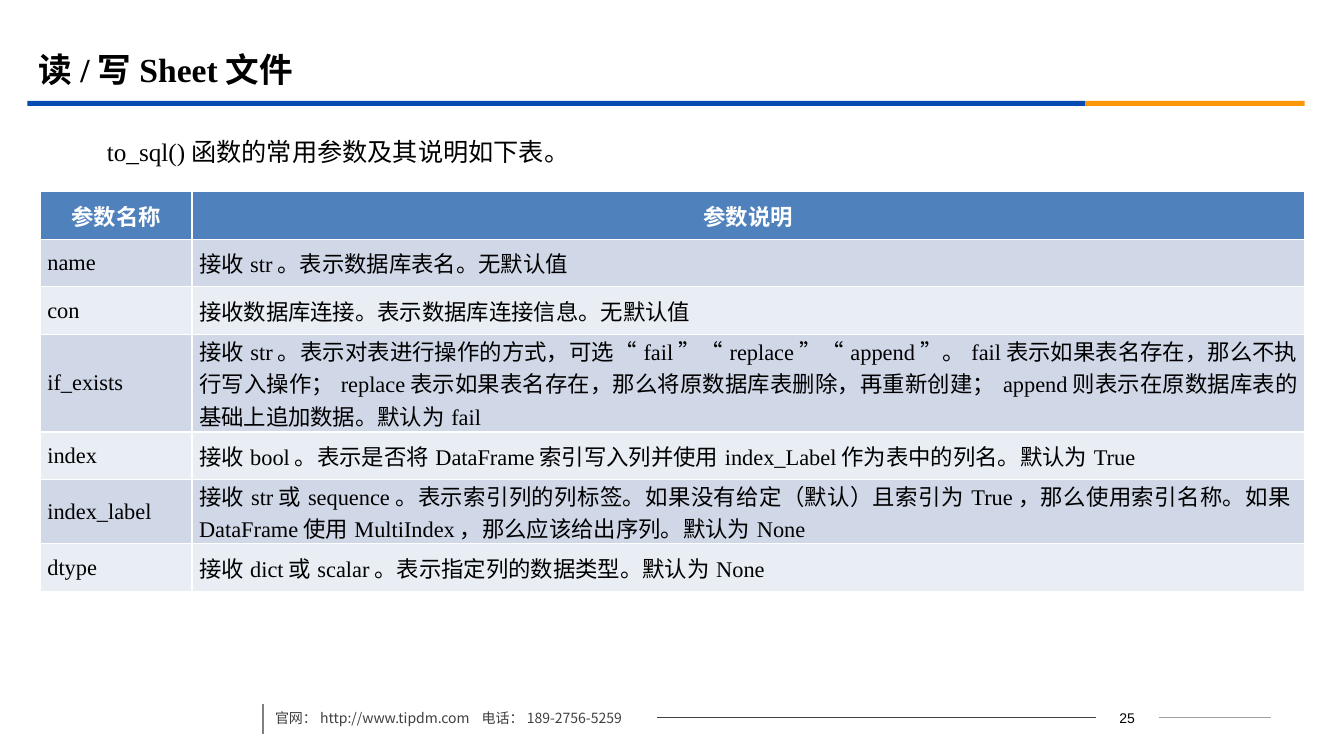
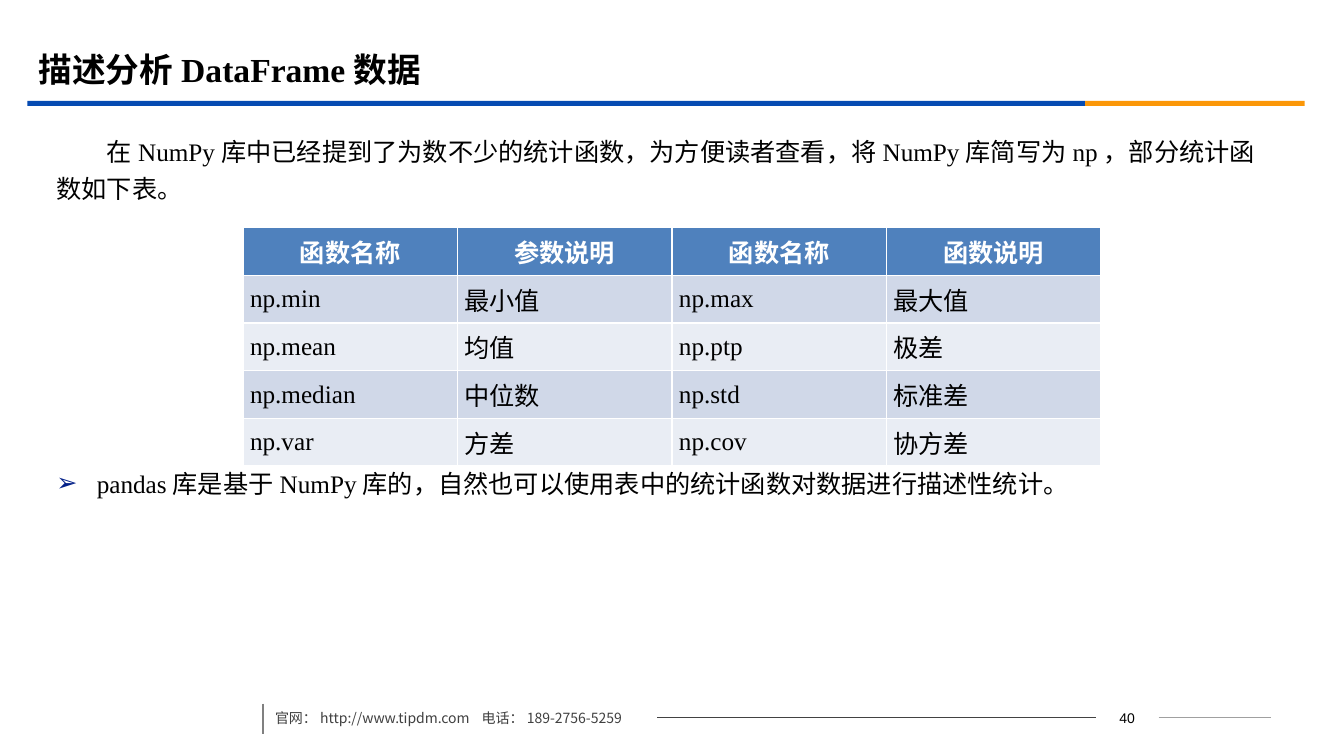
import dataclasses

import lxml.etree
import pptx
import pptx.dml.color
import pptx.enum.lang
import pptx.enum.shapes
import pptx.enum.text
import pptx.oxml.ns
import pptx.util

COLOURS = {
    "blue": "064BB2", "orange": "FB9708", "bullet": "032089",
    "text": "000000", "contact": "404040", "separator": "808080",
    "long_rule": "424242", "short_rule": "A0A0A0",
    "header": "4F81BD", "header_text": "FFFFFF", "odd_row": "D0D8E8", "even_row": "E9EDF4",
}
SERIF, SANS, CHINESE = "Times New Roman", "Arial", "Noto Sans CJK SC"
ALIGN = pptx.enum.text.PP_ALIGN
MIDDLE = pptx.enum.text.MSO_ANCHOR.MIDDLE
ROW = 6.3  # height of a one-line table row, in percent of the slide


@dataclasses.dataclass
class Box:
    left: float
    top: float
    width: float
    height: float

    def inner(self, left, top, width, height):
        """Box inside this one, given in percent of its size."""
        return Box(self.left + self.width * left / 100, self.top + self.height * top / 100,
                   self.width * width / 100, self.height * height / 100)

    def frame(self):
        return [pptx.util.Emu(round(v)) for v in (self.left, self.top, self.width, self.height)]


def colour(name):
    return pptx.dml.color.RGBColor.from_string(COLOURS[name])


def move(shape, box):
    shape.left, shape.top, shape.width, shape.height = box.frame()


def add_span(para, text, size, tint="text", face=SERIF, bold=False):
    span = para.add_run()
    span.text = text
    span.font.size = pptx.util.Pt(size)
    span.font.name = face
    span.font.bold = bold
    span.font.color.rgb = colour(tint)
    span.font.language_id = pptx.enum.lang.MSO_LANGUAGE_ID.SIMPLIFIED_CHINESE


def add_property(para, tag, **attributes):
    element = lxml.etree.SubElement(para._p.get_or_add_pPr(), pptx.oxml.ns.qn(tag))
    for key, value in attributes.items():
        element.set(key, value)
    return element


def set_indent(para, left, first):
    properties = para._p.get_or_add_pPr()
    properties.set("marL", str(pptx.util.Inches(left)))
    properties.set("indent", str(pptx.util.Inches(first)))


def add_bar(page, box, tint):
    bar = page.shapes.add_shape(pptx.enum.shapes.MSO_SHAPE.RECTANGLE, *box.frame())
    bar.shadow.inherit = False
    bar.fill.solid()
    bar.fill.fore_color.rgb = colour(tint)
    bar.line.fill.background()


def add_rule(page, box, tint, weight):
    left, top, width, height = box.frame()
    rule = page.shapes.add_connector(pptx.enum.shapes.MSO_CONNECTOR.STRAIGHT,
                                     left, top, left + width, top + height)
    rule.line.color.rgb = colour(tint)
    rule.line.width = pptx.util.Pt(weight)
    lxml.etree.SubElement(rule._element.spPr, pptx.oxml.ns.qn("a:effectLst"))


def add_label(page, box):
    frame = page.shapes.add_textbox(*box.frame()).text_frame
    frame.word_wrap = True
    frame.vertical_anchor = MIDDLE
    return frame.paragraphs[0]


def add_header(page, box, title):
    # Title above a two-colour band
    holder = page.shapes.title
    move(holder, box.inner(0.1, 0, 94.7, 88))
    frame = holder.text_frame
    frame.vertical_anchor = MIDDLE
    frame.auto_size = pptx.enum.text.MSO_AUTO_SIZE.NONE
    para = frame.paragraphs[0]
    para.alignment = ALIGN.LEFT
    add_span(para, title, 24, bold=True)
    add_bar(page, box.inner(0, 92.4, 82.8, 7.6), "blue")
    add_bar(page, box.inner(82.8, 92.4, 17.2, 7.6), "orange")


def add_footer(page, box, number):
    # Contact line, page number and thin rules
    add_rule(page, box.inner(0, 15, 0, 75), "separator", 1.25)
    add_rule(page, box.inner(39.1, 50, 43.5, 0), "long_rule", 0.75)
    add_rule(page, box.inner(88.8, 50, 11.2, 0), "short_rule", 0.75)
    contact = add_label(page, box.inner(0.2, 6, 38, 88))
    tabs = add_property(contact, "a:tabLst")
    stop = lxml.etree.SubElement(tabs, pptx.oxml.ns.qn("a:tab"))
    stop.set("pos", str(pptx.util.Inches(2.05)))
    stop.set("algn", "l")
    add_span(contact, "官网：http://www.tipdm.com\t电话：189-2756-5259", 10, "contact", CHINESE)
    label = add_label(page, box.inner(82.6, 17, 6.2, 66))
    label.alignment = ALIGN.CENTER
    add_span(label, str(number), 10, face=SANS)


def add_body(page, box, intro, point=None, gap=0):
    # Indented opening paragraph, then an optional bullet below the table
    holder = page.placeholders[1]
    move(holder, box)
    frame = holder.text_frame
    frame.auto_size = pptx.enum.text.MSO_AUTO_SIZE.NONE
    para = frame.paragraphs[0]
    set_indent(para, 0, 0.5)
    add_property(para, "a:buNone")
    para.space_before = pptx.util.Pt(0)
    para.line_spacing = 1.23
    add_span(para, intro, 18)
    if point:
        para = frame.add_paragraph()
        set_indent(para, 0.4, -0.4)
        tint = add_property(para, "a:buClr")
        lxml.etree.SubElement(tint, pptx.oxml.ns.qn("a:srgbClr")).set("val", COLOURS["bullet"])
        add_property(para, "a:buFont", typeface=SANS)
        add_property(para, "a:buChar", char="➢")
        para.space_before = pptx.util.Pt(gap)
        para.line_spacing = 1.23
        add_span(para, point, 18)


def add_grid(page, box, rows, column_shares, row_shares, size):
    # Table with a header row and alternating row fills
    table = page.shapes.add_table(len(rows), len(column_shares), *box.frame()).table
    for column, share in zip(table.columns, column_shares):
        column.width = round(box.width * share / sum(column_shares))
    for row, share in zip(table.rows, row_shares):
        row.height = round(box.height * share / sum(row_shares))
    for r, texts in enumerate(rows):
        is_header = r == 0
        fill = "header" if is_header else "odd_row" if r % 2 else "even_row"
        for c, text in enumerate(texts):
            cell = table.cell(r, c)
            cell.fill.solid()
            cell.fill.fore_color.rgb = colour(fill)
            cell.vertical_anchor = MIDDLE
            if not is_header:
                cell.margin_left = cell.margin_right = pptx.util.Inches(0.07)
                cell.margin_top = cell.margin_bottom = 0
            para = cell.text_frame.paragraphs[0]
            para.alignment = ALIGN.CENTER if is_header else ALIGN.JUSTIFY
            add_span(para, text, size, "header_text" if is_header else "text", bold=is_header)


def add_page(deck, title, number):
    page = deck.slides.add_slide(deck.slide_layouts[1])
    area = Box(0, 0, deck.slide_width, deck.slide_height)
    add_header(page, area.inner(2.03, 5.2, 95.05, 8.8), title)
    add_footer(page, area.inner(19.58, 92.27, 75.02, 5.33), number)
    return page, area, area.inner(3.45, 16.4, 91.15, 73.5)


def add_parameter_page(deck):
    page, area, body = add_page(deck, "读/写Sheet文件", 25)
    add_body(page, body, "to_sql()函数的常用参数及其说明如下表。")
    rows = [
        ("参数名称", "参数说明"),
        ("name", "接收str。表示数据库表名。无默认值"),
        ("con", "接收数据库连接。表示数据库连接信息。无默认值"),
        ("if_exists", "接收str。表示对表进行操作的方式，可选“fail”“replace”“append”。"
                      "fail表示如果表名存在，那么不执行写入操作；replace表示如果表名存在，"
                      "那么将原数据库表删除，再重新创建；append则表示在原数据库表的基础上追加数据。默认为fail"),
        ("index", "接收bool。表示是否将DataFrame索引写入列并使用index_Label作为表中的列名。默认为True"),
        ("index_label", "接收str或sequence。表示索引列的列标签。如果没有给定（默认）且索引为True，"
                        "那么使用索引名称。如果DataFrame使用MultiIndex，那么应该给出序列。默认为None"),
        ("dtype", "接收dict或scalar。表示指定列的数据类型。默认为None"),
    ]
    shares = [1, 1, 1, 2.05, 1, 1.35, 1]
    add_grid(page, area.inner(3, 25.33, 94.07, ROW * sum(shares)), rows, [12, 88], shares, 16)


def add_function_page(deck):
    page, area, body = add_page(deck, "描述分析DataFrame数据", 40)
    add_body(page, body,
             "在NumPy库中已经提到了为数不少的统计函数，为方便读者查看，将NumPy库简写为np，部分统计函数如下表。",
             "pandas库是基于NumPy库的，自然也可以使用表中的统计函数对数据进行描述性统计。", 184)
    rows = [
        ("函数名称", "参数说明", "函数名称", "函数说明"),
        ("np.min", "最小值", "np.max", "最大值"),
        ("np.mean", "均值", "np.ptp", "极差"),
        ("np.median", "中位数", "np.std", "标准差"),
        ("np.var", "方差", "np.cov", "协方差"),
    ]
    add_grid(page, area.inner(18.08, 30.13, 63.84, ROW * len(rows)), rows, [1] * 4, [1] * 5, 18)


def main():
    deck = pptx.Presentation()
    deck.slide_width = pptx.util.Inches(13.33)
    deck.slide_height = pptx.util.Inches(7.5)
    add_parameter_page(deck)
    add_function_page(deck)
    deck.save("out.pptx")


if __name__ == "__main__":
    main()
